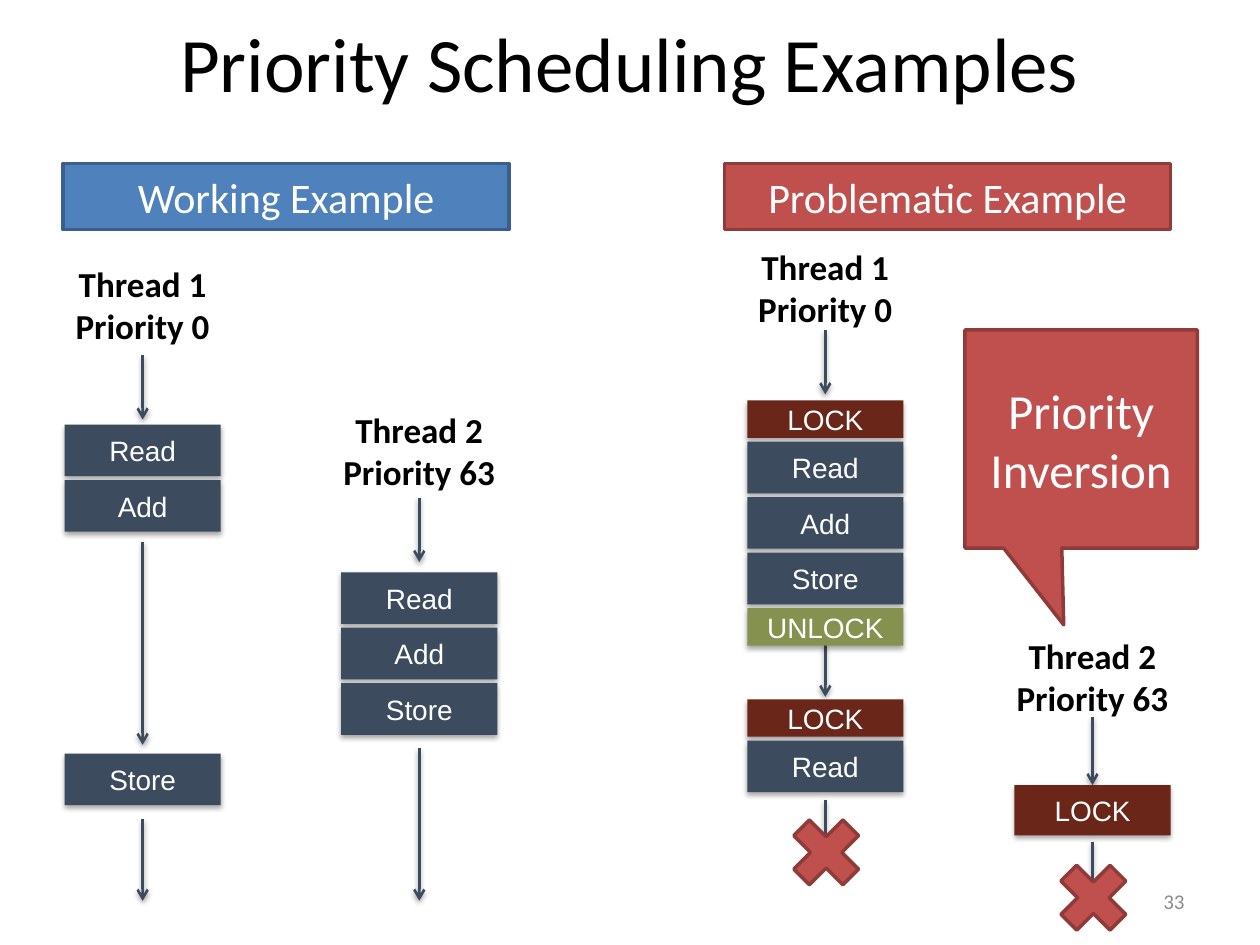
from lxml import etree
from pptx import Presentation
from pptx import util as u
from pptx.dml import color as col
from pptx.enum import shapes as sh, text as tx
from pptx.oxml import ns

Pt = u.Pt
BLACK = col.RGBColor(0x00, 0x00, 0x00)
WHITE = col.RGBColor(0xFF, 0xFF, 0xFF)
GREY = col.RGBColor(0x8C, 0x8C, 0x8C)
SLATE = col.RGBColor(0x3C, 0x4B, 0x5E)
RUST = col.RGBColor(0x6B, 0x26, 0x1A)
OLIVE = col.RGBColor(0x85, 0x91, 0x4E)
BLUE = col.RGBColor(0x4F, 0x81, 0xBD)
NAVY = col.RGBColor(0x3A, 0x5F, 0x8C)
RED = col.RGBColor(0xC0, 0x50, 0x4D)
DARK = col.RGBColor(0x8E, 0x3B, 0x39)

WIDE = 89.2
STEP = 29.5
GAP = 2.2
KINDS = {"LOCK": (RUST, 21.4), "UNLOCK": (OLIVE, 21.4)}
RECT = sh.MSO_SHAPE.RECTANGLE
CROSS = sh.MSO_SHAPE.MATH_MULTIPLY
CALL = sh.MSO_SHAPE.RECTANGULAR_CALLOUT
MID = tx.PP_ALIGN.CENTER


def sub(node, tag, **attrs):
    return etree.SubElement(node, ns.qn(tag), **attrs)


def shade(item, dist, alpha):
    props = item._element.spPr
    glow = props.find(ns.qn("a:effectLst"))
    if glow is None:
        glow = sub(props, "a:effectLst")
    cast = sub(glow, "a:outerShdw", blurRad=str(Pt(3.1)), dist=str(Pt(dist)),
               dir="5400000", rotWithShape="0")
    tone = sub(cast, "a:srgbClr", val="000000")
    sub(tone, "a:alpha", val=str(alpha * 1000))


def write(item, words, size, tint, font="Calibri", bold=False, align=MID,
          wrap=True, anchor=tx.MSO_ANCHOR.MIDDLE):
    frame = item.text_frame
    frame.text = words
    frame.word_wrap = wrap
    frame.vertical_anchor = anchor
    for para in frame.paragraphs:
        para.alignment = align
        for run in para.runs:
            run.font.name = font
            run.font.size = Pt(size)
            run.font.bold = bold
            run.font.color.rgb = tint


def label(slide, box, words, size, tint, **style):
    item = slide.shapes.add_textbox(*map(Pt, box))
    write(item, words, size, tint, **style)


def block(slide, kind, box, fill, edge=None):
    item = slide.shapes.add_shape(kind, *map(Pt, box))
    item.shadow.inherit = False
    item.fill.solid()
    item.fill.fore_color.rgb = fill
    if edge is None:
        item.line.fill.background()
    else:
        item.line.color.rgb = edge
        item.line.width = Pt(2)
    return item


def arrow(slide, mid, top, size):
    item = slide.shapes.add_connector(sh.MSO_CONNECTOR.STRAIGHT, Pt(mid), Pt(top),
                                      Pt(mid), Pt(top + size))
    item.line.color.rgb = SLATE
    item.line.width = Pt(1.5)
    sub(item.line._get_or_add_ln(), "a:tailEnd", type="arrow")
    shade(item, 1.6, 38)


def stack(slide, left, top, names, tall=None):
    for name in names.split():
        fill, high = KINDS.get(name, (SLATE, STEP))
        high = tall or high
        item = block(slide, RECT, (left, top, WIDE, high), fill)
        shade(item, 1.8, 35)
        write(item, name, 16, WHITE, font="Arial")
        top += high + GAP


def lane(slide, left, top, words, arrows, stacks, cross=None):
    mid = left + WIDE / 2
    label(slide, (mid - 51, top, 102, 55.7), words, 20, BLACK, bold=True,
          wrap=False, anchor=tx.MSO_ANCHOR.TOP)
    for start, size in arrows:
        arrow(slide, mid, top + start, size)
    for start, *rest in stacks:
        stack(slide, left, top + start, *rest)
    if cross is not None:
        block(slide, CROSS, (mid - 26.5, top + cross, 54, 54), RED, DARK)


def banner(slide, left, words, fill, edge):
    item = block(slide, RECT, (left, 93.5, 255, 37.7), fill, edge)
    write(item, words, 24, WHITE)


def good(slide, left):
    banner(slide, left, "Working Example", BLUE, NAVY)
    lane(slide, left + 0.9, 146.2, "Thread 1\nPriority 0",
         [(56.8, 36.7), (163.4, 116), (321.8, 46.8)],
         [(96.4, "Read Add"), (284.4, "Store")])
    lane(slide, left + 159, 229.7, "Thread 2\nPriority 63",
         [(54.7, 36.7), (198, 87)], [(97.3, "Read Add Store")])


def bad(slide, left):
    banner(slide, left, "Problematic Example", RED, DARK)
    lane(slide, left + 13, 136.8, "Thread 1\nPriority 0",
         [(51.8, 36.7), (231.1, 30.3), (320.4, 36.7)],
         [(92, "LOCK Read Add Store UNLOCK"), (262.8, "LOCK Read")], 323.3)
    lane(slide, left + 165.7, 359.3, "Thread 2\nPriority 63",
         [(50.4, 38.9), (121.7, 36.7)], [(89.3, "LOCK", 28.8)], 126.7)
    note = block(slide, CALL, (left + 137.4, 188.6, 132.8, 124.6), RED, DARK)
    note.adjustments[0] = -0.075
    note.adjustments[1] = 0.852
    write(note, "Priority Inversion", 28, WHITE)


deck = Presentation()
deck.slide_width, deck.slide_height = Pt(720), Pt(540)
page = deck.slides.add_slide(deck.slide_layouts[6])
label(page, (36, 3, 648, 65), "Priority Scheduling Examples", 44, BLACK)
label(page, (516, 500.5, 168, 28.7), "33", 12, GREY, align=tx.PP_ALIGN.RIGHT)
good(page, 36)
bad(page, 414)
deck.save("out.pptx")
